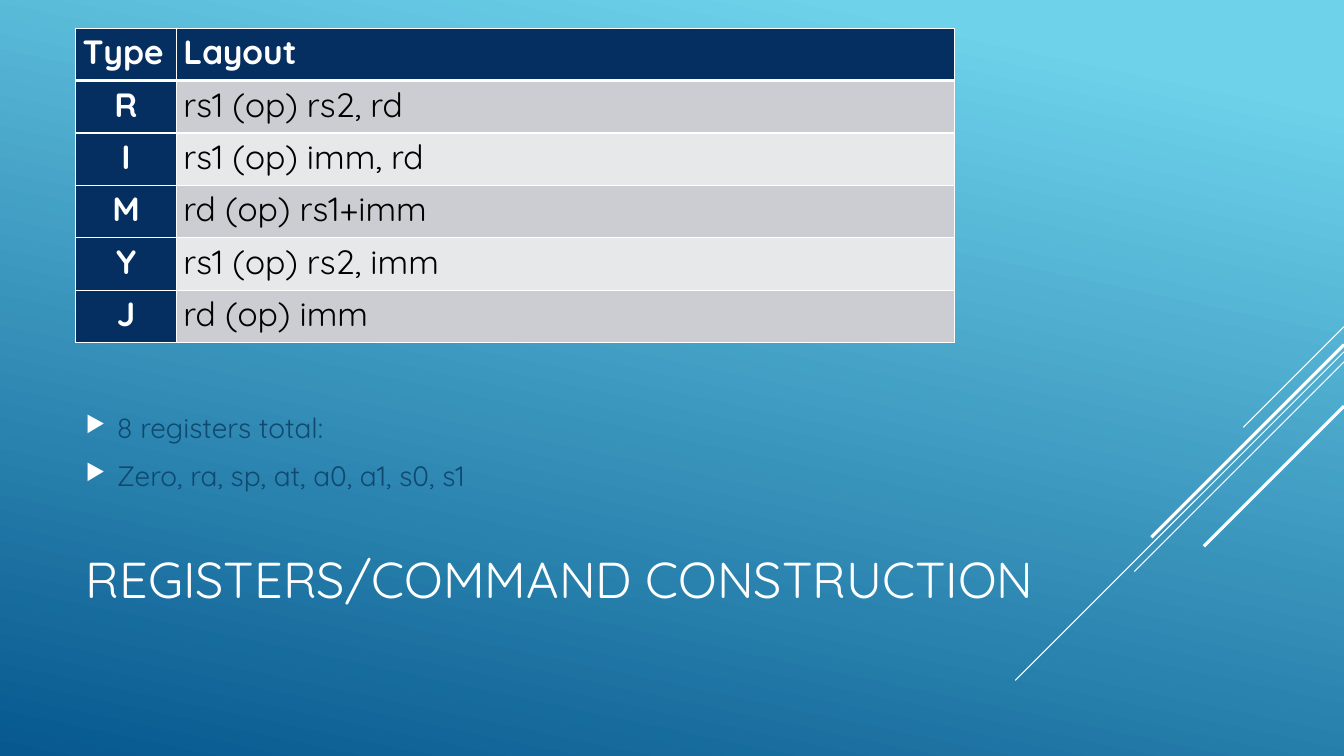
from dataclasses import dataclass

from lxml import etree
from pptx import Presentation
from pptx.dml.color import RGBColor
from pptx.enum.shapes import MSO_CONNECTOR
from pptx.enum.text import MSO_ANCHOR, MSO_AUTO_SIZE, PP_ALIGN
from pptx.oxml.ns import qn
from pptx.util import Inches, Pt

STRAIGHT = MSO_CONNECTOR.STRAIGHT
MIDDLE = MSO_ANCHOR.MIDDLE
NO_FIT = MSO_AUTO_SIZE.NONE
LEFT, CENTER = PP_ALIGN.LEFT, PP_ALIGN.CENTER
TITLE_ONLY = 5


@dataclass(frozen=True)
class Theme:
    """Colours, font and type sizes of the slide."""
    sky: str = "6ED2EB"
    deep: str = "06588E"
    navy: str = "052F61"
    bands: tuple = ("CCCDD2", "E7E8EA")
    white: str = "FFFFFF"
    black: str = "000000"
    note: str = "0F496F"
    font: str = "Quicksand"
    title_size: int = 36
    table_size: int = 24
    note_size: int = 20


THEME = Theme()


def style(paragraph, size, color, bold=False, align=LEFT):
    """Set the font and alignment of a whole paragraph."""
    font = paragraph.font
    font.name, font.size, font.bold = THEME.font, Pt(size), bold
    font.color.rgb = RGBColor.from_string(color)
    paragraph.alignment = align


def add_borders(cell, bottom_width):
    """Draw white borders around a table cell, ahead of its fill."""
    properties = cell._tc.get_or_add_tcPr()
    widths = {"a:lnL": 1, "a:lnR": 1, "a:lnT": 1, "a:lnB": bottom_width}
    for position, (side, width) in enumerate(widths.items()):
        border = etree.Element(qn(side), w=str(Pt(width)))
        solid = etree.SubElement(border, qn("a:solidFill"))
        etree.SubElement(solid, qn("a:srgbClr"), val=THEME.white)
        properties.insert(position, border)


deck = Presentation()
deck.slide_width, deck.slide_height = Inches(13.33), Inches(7.5)
WIDTH, HEIGHT = deck.slide_width, deck.slide_height
MARGIN = Inches(0.75)
slide = deck.slides.add_slide(deck.slide_layouts[TITLE_ONLY])

# Background
backdrop = slide.background.fill
backdrop.gradient()
backdrop.gradient_angle = 360 - 102
for stop, position, color in zip(backdrop.gradient_stops, (0.1, 1), (THEME.sky, THEME.deep)):
    stop.position = position
    stop.color.rgb = RGBColor.from_string(color)

# Diagonal rays: start height on the right edge, reach, line width
rays = [(3.24, 1, 0.75), (3.49, 3.26, 0.75), (3.59, 2.08, 0.75),
        (3.42, 1.91, 2.25), (4.03, 1.39, 2.25)]
for start, reach, weight in rays:
    ray = slide.shapes.add_connector(
        STRAIGHT, WIDTH, Inches(start), WIDTH - Inches(reach), Inches(start + reach))
    ray.line.color.rgb = RGBColor.from_string(THEME.white)
    ray.line.width = Pt(weight)
    etree.SubElement(ray._element.spPr, qn("a:effectLst"))

# Title and register notes
BLOCK_HEIGHT = int(HEIGHT * 0.22)
title = slide.shapes.title
title.left, title.top = MARGIN, Inches(4.91)
title.width, title.height = Inches(9.97), BLOCK_HEIGHT
title.text_frame.text = "REGISTERS/COMMAND CONSTRUCTION"
style(title.text_frame.paragraphs[0], THEME.title_size, THEME.white)

registers = slide.shapes.add_textbox(MARGIN, Inches(3.65), Inches(9.79), BLOCK_HEIGHT)
registers.text_frame.text = "8 registers total:\nZero, ra, sp, at, a0, a1, s0, s1"
for frame in (title.text_frame, registers.text_frame):
    frame.word_wrap = True
    frame.auto_size = NO_FIT
    frame.vertical_anchor = MIDDLE

INDENT = Inches(0.31)
for note in registers.text_frame.paragraphs:
    style(note, THEME.note_size, THEME.note)
    note.space_before, note.space_after = Pt(THEME.note_size * 0.2), Pt(6)
    bullet = note._p.get_or_add_pPr()
    bullet.set("marL", str(INDENT))
    bullet.set("indent", str(-INDENT))
    bullet_color = etree.Element(qn("a:buClr"))
    etree.SubElement(bullet_color, qn("a:srgbClr"), val=THEME.white)
    bullet_parts = [bullet_color,
                    etree.Element(qn("a:buSzPct"), val="80000"),
                    etree.Element(qn("a:buChar"), char="\u25b6")]
    run_defaults = bullet.find(qn("a:defRPr"))
    for part in bullet_parts:
        run_defaults.addprevious(part)

# Instruction layouts
instructions = [("Type", "Layout"), ("R", "rs1 (op) rs2, rd"), ("I", "rs1 (op) imm, rd"),
                ("M", "rd (op) rs1+imm"), ("Y", "rs1 (op) rs2, imm"), ("J", "rd (op) imm")]
COLUMNS = [Inches(1), Inches(7.72)]
ROW = Inches(0.52)
grid = slide.shapes.add_table(len(instructions), len(COLUMNS), MARGIN, Inches(0.28),
                              sum(COLUMNS), ROW * len(instructions)).table
for column, width in zip(grid.columns, COLUMNS):
    column.width = width
for r, instruction in enumerate(instructions):
    grid.rows[r].height = ROW
    for c, text in enumerate(instruction):
        heading = r == 0 or c == 0
        cell = grid.cell(r, c)
        cell.text = text
        cell.margin_left = cell.margin_right = Inches(0.07)
        cell.margin_top = cell.margin_bottom = 0
        cell.fill.solid()
        cell.fill.fore_color.rgb = RGBColor.from_string(
            THEME.navy if heading else THEME.bands[(r - 1) % 2])
        add_borders(cell, 3 if r == 0 else 1)
        label = cell.text_frame.paragraphs[0]
        style(label, THEME.table_size, THEME.white if heading else THEME.black,
              heading, CENTER if r and c == 0 else LEFT)
        label.line_spacing = 1.07

deck.save("out.pptx")
